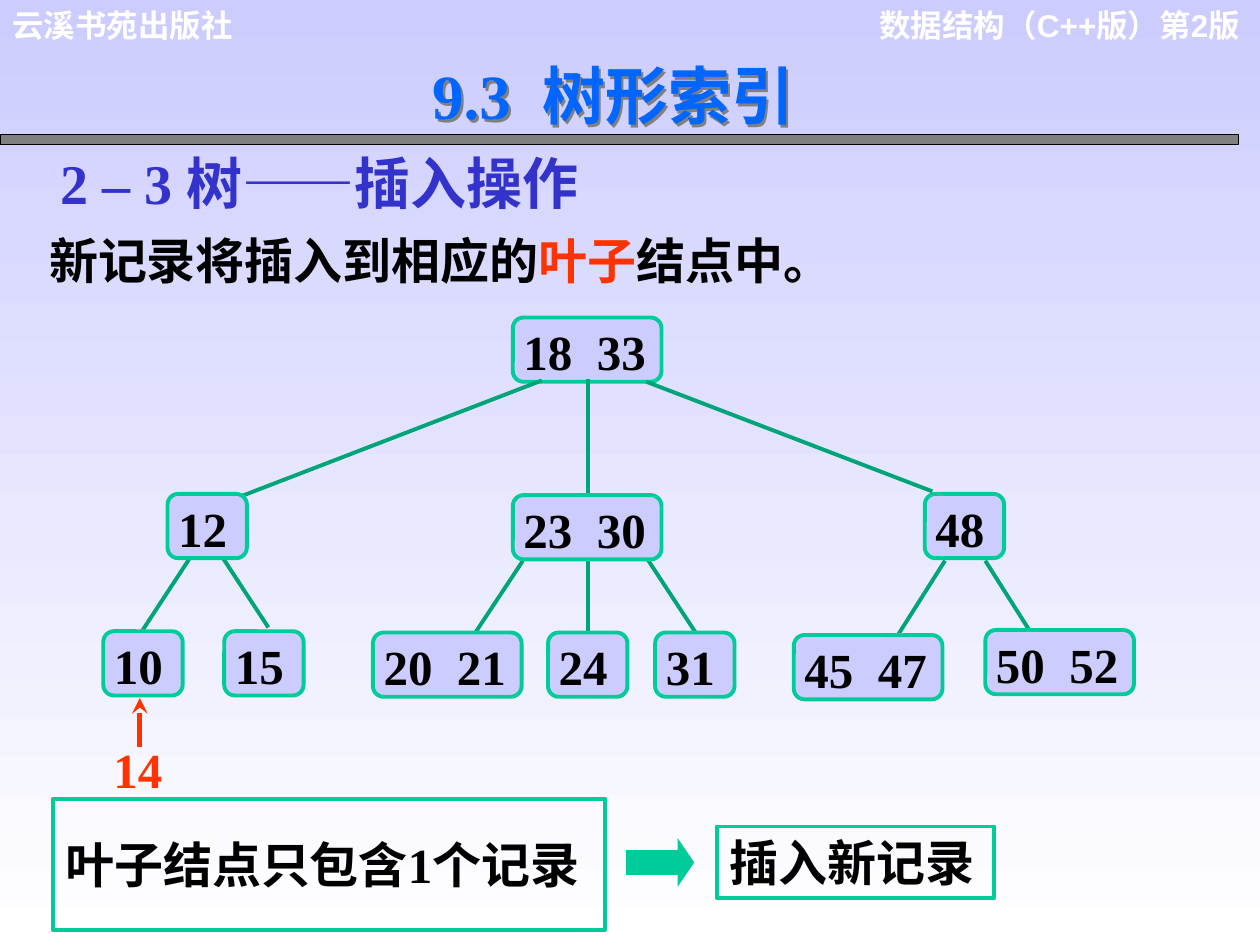
from typing import NamedTuple

from lxml.etree import SubElement as Sub
from pptx import Presentation
from pptx.dml.color import RGBColor as Rgb
from pptx.enum.lang import MSO_LANGUAGE_ID as Lang
from pptx.enum.shapes import MSO_CONNECTOR as Wire, MSO_SHAPE as Form
from pptx.enum.text import MSO_ANCHOR as Anchor, MSO_AUTO_SIZE as Auto, PP_ALIGN as Align
from pptx.oxml.ns import qn
from pptx.util import Inches, Pt

COLS, ROWS = 100, 75
WIDE, HIGH = Inches(10), Inches(7.5)
HUES = {
    "sky": "CCCCFF", "white": "FFFFFF", "black": "000000", "grey": "808080",
    "title": "0066FF", "head": "3333CC", "red": "FF3300",
    "mint": "00CC99", "edge": "00A479",
}
ARIAL, TIMES = "Arial", "Times New Roman"
PAD, SNUG = (1, 0.5, 1, 0.5), (0.6, 0.1, 0.2, 0.1)


class Box(NamedTuple):
    col: float
    row: float
    wide: float
    high: float


class Node(NamedTuple):
    text: str
    col: float
    row: float


class Edge(NamedTuple):
    col: float
    row: float
    end_col: float
    end_row: float


ROOT = Node("18  33", 40.7, 25.2)
NODES = [
    Node("12", 13.3, 39.2), Node("23  30", 40.7, 39.3), Node("48", 73.4, 39.2),
    Node("10", 8.2, 50.1), Node("15", 17.8, 50.1), Node("20  21", 29.6, 50.2),
    Node("24", 43.5, 50.2), Node("31", 52, 50.2), Node("45  47", 63, 50.4),
    Node("50  52", 78.2, 50),
]
EDGES = [
    Edge(43, 30.2, 19.1, 39.4), Edge(46.7, 30.1, 46.7, 39.2),
    Edge(51.3, 30.3, 74, 39), Edge(15, 44.4, 11.2, 50.2),
    Edge(17.7, 44.3, 21.3, 49.8), Edge(41.5, 44.5, 37.6, 50.4),
    Edge(46.7, 44.5, 46.7, 50.5), Edge(51.4, 44.4, 55.6, 50.8),
    Edge(75, 44.5, 71.2, 50.5), Edge(78.2, 44.5, 82, 50.5),
]


def at_x(col: float) -> int:
    return round(WIDE * col / COLS)


def at_y(row: float) -> int:
    return round(HIGH * row / ROWS)


def place(box: Box) -> tuple:
    return at_x(box.col), at_y(box.row), at_x(box.wide), at_y(box.high)


def tint(name: str) -> Rgb:
    return Rgb.from_string(HUES[name])


def write(shape, *parts, size=28, face=TIMES, hue="black", align=Align.LEFT,
          anchor=Anchor.TOP, pad=PAD):
    frame = shape.text_frame
    frame.auto_size, frame.word_wrap = Auto.NONE, True
    frame.vertical_anchor = anchor
    frame.margin_left, frame.margin_right = at_x(pad[0]), at_x(pad[2])
    frame.margin_top, frame.margin_bottom = at_y(pad[1]), at_y(pad[3])
    para = frame.paragraphs[0]
    para.alignment, para.space_before = align, Pt(0)
    for part in parts:
        words, shade = part if isinstance(part, tuple) else (part, hue)
        run = para.add_run()
        run.text = words
        font = run.font
        font.size, font.name, font.bold = Pt(size), face, True
        font.color.rgb = tint(shade)
        font.language_id = Lang.SIMPLIFIED_CHINESE
    return shape


def label(slide, box: Box, *parts, **form):
    return write(slide.shapes.add_textbox(*place(box)), *parts, **form)


def fill_slot(slot, box: Box, *parts, **form):
    slot.left, slot.top, slot.width, slot.height = place(box)
    return write(slot, *parts, **form)


def draw(slide, form: Form, box: Box, fill: str = "", line: str = "", width: float = 2.25):
    shape = slide.shapes.add_shape(form, *place(box))
    shape.shadow.inherit = False
    for paint, hue in ((shape.fill, fill), (shape.line.fill, line)):
        if hue:
            paint.solid()
            paint.fore_color.rgb = tint(hue)
        else:
            paint.background()
    if line:
        shape.line.width = Pt(width)
    return shape


def link(slide, edge: Edge, hue: str = "edge", width: float = 2.25, tip: str = ""):
    wire = slide.shapes.add_connector(
        Wire.STRAIGHT, at_x(edge.col), at_y(edge.row), at_x(edge.end_col), at_y(edge.end_row))
    wire.line.color.rgb, wire.line.width = tint(hue), Pt(width)
    if tip:
        Sub(wire.line._get_or_add_ln(), qn("a:tailEnd"), type=tip)
    Sub(wire._element.spPr, qn("a:effectLst"))


def plant(slide, node: Node):
    wide = 6.3 if len(node.text) == 2 else 11.8
    shape = draw(slide, Form.ROUNDED_RECTANGLE, Box(node.col, node.row, wide, 5.1), "sky", "mint")
    write(shape, node.text, align=Align.JUSTIFY, pad=SNUG)


def shade(shape):
    shape.fill.background()
    shape.shadow.inherit = False
    glow = shape._element.spPr.find(qn("a:effectLst"))
    cast = Sub(glow, qn("a:outerShdw"), dist="25400", dir="2700000")
    Sub(cast, qn("a:srgbClr"), val=HUES["grey"])


def main():
    """Build the slide on inserting into a 2-3 tree."""
    deck = Presentation()
    deck.slide_width, deck.slide_height = WIDE, HIGH
    slide = deck.slides.add_slide(deck.slide_layouts[1])
    back = slide.background.fill
    back.gradient()
    back.gradient_angle = 270
    for stop, hue in zip(back.gradient_stops, ("sky", "white")):
        stop.color.rgb = tint(hue)

    label(slide, Box(67.7, 0, 31.7, 7), "数据结构（C++版）第2版",
          size=18, face=ARIAL, hue="white", align=Align.RIGHT)
    label(slide, Box(0, 0, 27.1, 4), "云溪书苑出版社", size=18, face=ARIAL, hue="white")
    draw(slide, Form.RECTANGLE, Box(0, 10.7, 98.3, 0.8), "grey", "black", 0.75)
    title, body = slide.placeholders
    shade(fill_slot(title, Box(33.3, 4, 40.8, 7), "9.3  树形索引", size=36, hue="title"))
    label(slide, Box(3.8, 11.3, 45.7, 6.4), "2 – 3 树——插入操作", size=32, hue="head")
    props = body.text_frame.paragraphs[0]._p.get_or_add_pPr()
    props.set("marL", "0")
    props.set("indent", "0")
    Sub(props, qn("a:buNone"))
    fill_slot(body, Box(2.9, 17.8, 64.1, 5.7), "新记录将插入到相应的",
              ("叶子", "red"), "结点中。", face=ARIAL)

    plant(slide, ROOT)
    for edge in EDGES:
        link(slide, edge)
    for node in NODES:
        plant(slide, node)

    write(draw(slide, Form.RECTANGLE, Box(4.2, 63.4, 43.8, 10.4), line="mint"),
          "叶子结点只包含1个记录", anchor=Anchor.MIDDLE)
    write(draw(slide, Form.RECTANGLE, Box(56.9, 65.6, 22, 5.7), line="mint"),
          "插入新记录", face=ARIAL)
    arrow = draw(slide, Form.RIGHT_ARROW, Box(49.7, 66.5, 5.4, 3.9), "mint")
    arrow.adjustments[1] = 0.34
    label(slide, Box(8.4, 58.6, 6.3, 5.1), "14", hue="red", align=Align.JUSTIFY, pad=SNUG)
    link(slide, Edge(11.1, 59.3, 11.1, 55.4), "red", 3, "stealth")
    deck.save("out.pptx")


if __name__ == "__main__":
    main()
